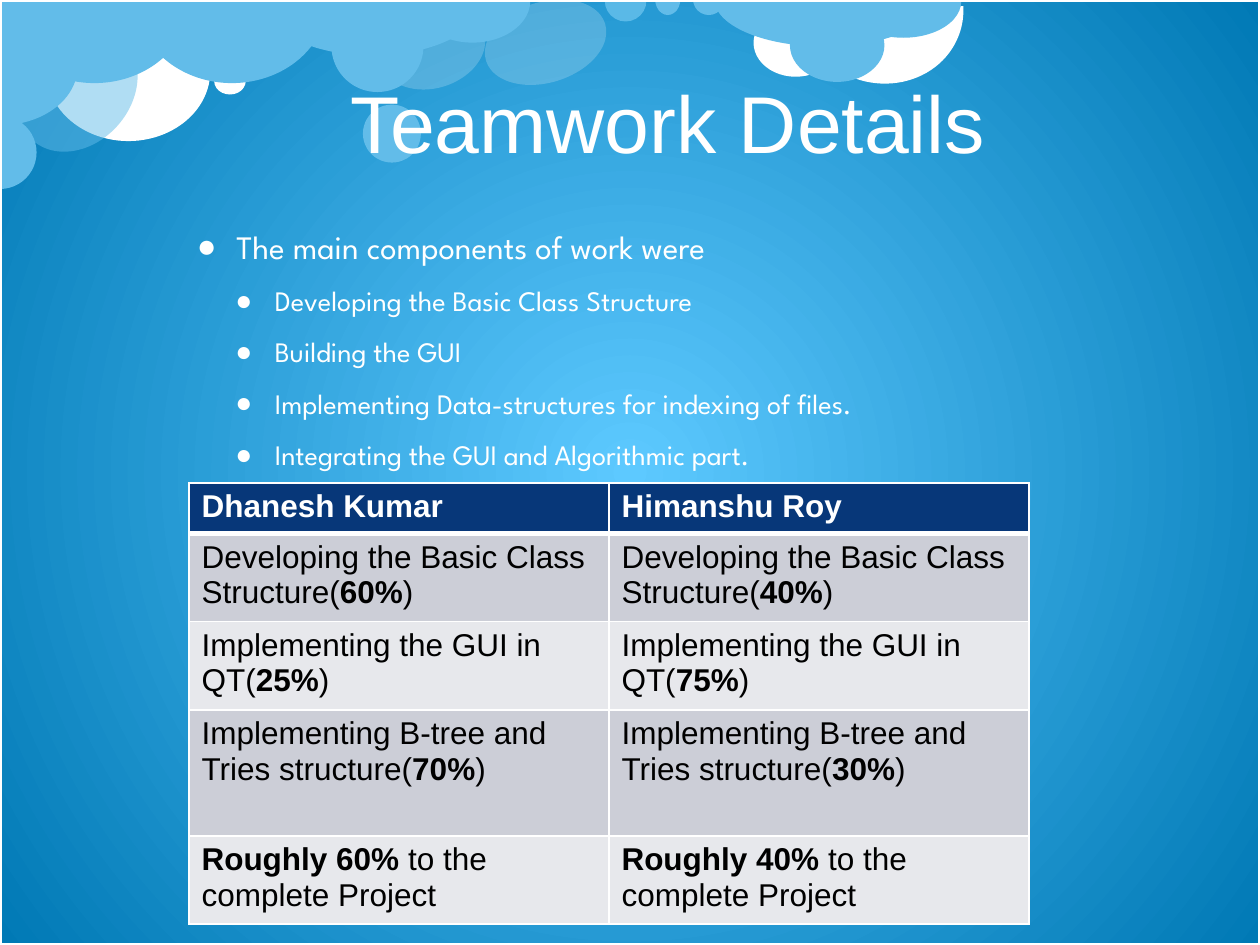
from lxml import etree
from pptx import Presentation
from pptx.dml.color import RGBColor
from pptx.enum.shapes import MSO_SHAPE
from pptx.enum.text import MSO_ANCHOR
from pptx.oxml.ns import qn
from pptx.util import Pt

ELLIPSE, PIE, ARC = MSO_SHAPE.OVAL, MSO_SHAPE.PIE, MSO_SHAPE.ARC
RECTANGLE, MIDDLE = MSO_SHAPE.RECTANGLE, MSO_ANCHOR.MIDDLE
WHITE, SKY, PALE, NAVY = "FFFFFF", "62BCE9", "8FD9FB", "073779"
BANDS = ("CCCED7", "E7E8EC")
HALF_DISC = (0, 108)

# kind, left, top, width, height, colour, rotation, opacity
CLOUDS = [
    (ELLIPSE, 223.9, -3.6, 46.1, 61.9, WHITE, 72.8, 20),
    (ELLIPSE, 26.6, 0.7, 93.6, 79.9, WHITE, 0, 100),
    (ARC, 460.1, -43.2, 87.1, 94.3, WHITE, 106.5, 100),
    (ELLIPSE, 430.6, 5, 48.2, 38.9, WHITE, 0, 100),
    (PIE, -0.7, -47.5, 109.4, 95, SKY, 0, 100),
    (PIE, 149.8, -31.7, 126, 63.4, SKY, 0, 100),
    (ELLIPSE, 207.4, 59.8, 33.1, 33.1, SKY, 0, 100),
    (ELLIPSE, 13.7, 13, 61.2, 77, SKY, 41.8, 50),
    (PIE, -20.9, 66.2, 41.8, 41.8, SKY, 270, 100),
    (ELLIPSE, 122.4, 38.9, 18, 15.1, WHITE, 0, 100),
    (PIE, 77.8, -47.5, 109.4, 95, SKY, 0, 100),
    (PIE, 408.2, -27.4, 126, 54, SKY, 0, 100),
    (ELLIPSE, 451.4, 5, 54, 41.8, SKY, 0, 100),
    (PIE, 483.1, -20.2, 66.2, 41.8, SKY, 0, 100),
    (ELLIPSE, 288.7, -11.5, 46.1, 71.3, WHITE, 72.8, 20),
    (PIE, 345.6, -11.5, 23.8, 23.8, PALE, 0, 50),
    (PIE, 374.4, -9.4, 14.4, 18, SKY, 0, 100),
    (PIE, 396, -9.4, 18, 18, SKY, 0, 100),
    (ELLIPSE, 189.4, 0, 52.6, 52.6, SKY, 0, 100),
    (PIE, 236.9, -23.8, 66.2, 48.2, SKY, 0, 100),
    (PIE, -33.8, -6.5, 67, 89.3, SKY, 270, 100),
]

WORK_ITEMS = [
    (1, "The main components of work were"),
    (2, "Developing the Basic Class Structure"),
    (2, "Building the GUI"),
    (2, "Implementing Data-structures for indexing of files."),
    (2, "Integrating the GUI and Algorithmic part."),
]
LEVELS = {1: (50, 18.7), 2: (72, 16.1)}
HANGING = 22.5

# Text between asterisks is bold; {} takes each member's share.
MEMBERS = ("Dhanesh Kumar", "Himanshu Roy")
DUTIES = [
    ("Developing the Basic Class Structure(*{}*)", (60, 40), 50.4),
    ("Implementing the GUI in QT(*{}*)", (25, 75), 50.4),
    ("Implementing B-tree and Tries structure(*{}*)", (70, 30), 72),
    ("*Roughly {}* to the complete Project", (60, 40), 50.4),
]


def rgb(colour):
    """Turn a hex string into a colour."""
    return RGBColor.from_string(colour)


def style_font(font, name, size, colour):
    """Set the face, size and colour of a font."""
    font.name, font.size = name, Pt(size)
    font.color.rgb = rgb(colour)


def paint_background(slide, centre, edge):
    """Fill the background with a circular gradient."""
    fill = slide.background.fill
    fill.gradient()
    for stop, colour, position in zip(fill.gradient_stops, (centre, edge), (0, 1)):
        stop.color.rgb = rgb(colour)
        stop.position = position
    linear = next(slide.background._cSld.iter(qn("a:lin")))
    circle = etree.Element(qn("a:path"), path="circle")
    etree.SubElement(circle, qn("a:fillToRect"), dict.fromkeys("ltrb", "50000"))
    linear.getparent().replace(linear, circle)


def add_cloud(slide, kind, left, top, width, height, colour, rotation, opacity):
    """Draw one piece of the cloud bank."""
    cloud = slide.shapes.add_shape(kind, Pt(left), Pt(top), Pt(width), Pt(height))
    cloud.shadow.inherit = False
    cloud.rotation = rotation
    cloud.line.fill.background()
    cloud.fill.solid()
    cloud.fill.fore_color.rgb = rgb(colour)
    angles = {PIE: HALF_DISC, ARC: (151.8, 44.48)}.get(kind, ())
    for index, angle in enumerate(angles):
        cloud.adjustments[index] = angle
    if opacity < 100:
        solid = next(cloud.fill._xPr.iter(qn("a:srgbClr")))
        etree.SubElement(solid, qn("a:alpha"), val=str(opacity * 1000))


def add_frame(slide, width, height):
    """Outline the whole slide."""
    frame = slide.shapes.add_shape(RECTANGLE, 0, 0, width, height)
    frame.shadow.inherit = False
    frame.fill.background()
    frame.line.color.rgb = rgb(WHITE)
    frame.line.width = Pt(2)


def add_text_frame(slide, left, top, width, height):
    """Add a wrapping text box and return its text frame."""
    box = slide.shapes.add_textbox(Pt(left), Pt(top), Pt(width), Pt(height))
    box.text_frame.word_wrap = True
    return box.text_frame


def add_title(slide, text):
    """Add the slide title, indented from the left."""
    frame = add_text_frame(slide, 78, 18, 594, 102)
    frame.margin_left = Pt(122)
    frame.vertical_anchor = MIDDLE
    title = frame.paragraphs[0]
    title.text = text
    title.line_spacing = Pt(56)
    style_font(title.font, "Arial", 46, WHITE)


def add_bullets(slide, items):
    """Add the bulleted outline."""
    frame = add_text_frame(slide, 78, 126, 546, 138)
    for index, (level, text) in enumerate(items):
        item = frame.add_paragraph() if index else frame.paragraphs[0]
        item.text = text
        item.level = level - 1
        item.space_after = Pt(10)
        margin, size = LEVELS[level]
        properties = item._p.get_or_add_pPr()
        properties.set("marL", str(Pt(margin)))
        properties.set("indent", str(-Pt(HANGING)))
        etree.SubElement(properties, qn("a:buFont"), typeface="Arial")
        etree.SubElement(properties, qn("a:buChar"), char="●")
        style_font(item.font, "League Spartan", size, WHITE)


def style_cell(cell, text, fill, colour, bottom=1):
    """Write a cell's marked text and set its fill and borders."""
    paragraph = cell.text_frame.paragraphs[0]
    style_font(paragraph.font, "Arial", 18, colour)
    for index, part in enumerate(text.split("*")):
        if part:
            run = paragraph.add_run()
            run.text = part
            run.font.bold = index % 2 == 1
    properties = cell._tc.get_or_add_tcPr()
    for side, width in (("L", 1), ("R", 1), ("T", 1), ("B", bottom)):
        border = etree.SubElement(properties, qn(f"a:ln{side}"), w=str(Pt(width)))
        solid = etree.SubElement(border, qn("a:solidFill"))
        etree.SubElement(solid, qn("a:srgbClr"), val=WHITE)
    cell.fill.solid()
    cell.fill.fore_color.rgb = rgb(fill)


def add_work_table(slide):
    """Add the table of each member's share of the work."""
    table = slide.shapes.add_table(
        len(DUTIES) + 1, len(MEMBERS), Pt(108), Pt(276), Pt(480), Pt(252)
    ).table
    table.rows[0].height = Pt(28.8)
    for column, member in enumerate(MEMBERS):
        style_cell(table.cell(0, column), f"*{member}*", NAVY, WHITE, bottom=3)
    for row, (duty, shares, height) in enumerate(DUTIES, 1):
        table.rows[row].height = Pt(height)
        for column, share in enumerate(shares):
            text = duty.format(f"{share}%")
            style_cell(table.cell(row, column), text, BANDS[(row - 1) % 2], "000000")


def main():
    """Build and save the slide."""
    deck = Presentation()
    deck.slide_width, deck.slide_height = Pt(720), Pt(540)
    slide = deck.slides.add_slide(deck.slide_layouts[6])
    paint_background(slide, "5DC9FF", "0079B5")
    for cloud in CLOUDS:
        add_cloud(slide, *cloud)
    add_frame(slide, deck.slide_width, deck.slide_height)
    add_title(slide, "Teamwork Details")
    add_bullets(slide, WORK_ITEMS)
    add_work_table(slide)
    deck.save("out.pptx")


if __name__ == "__main__":
    main()
